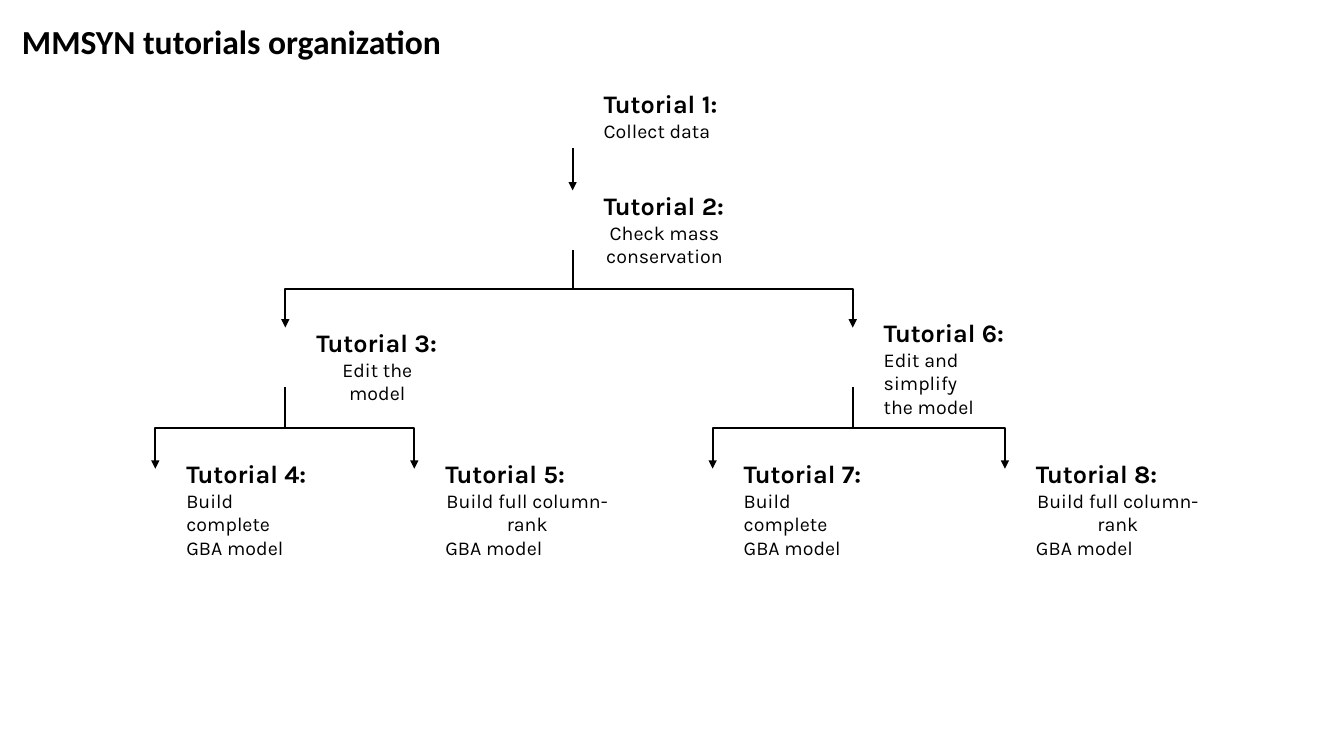
"""Build the tutorial organization tree slide."""
import dataclasses

import lxml.etree
import pptx
import pptx.dml.color
import pptx.enum.shapes
import pptx.enum.text
import pptx.oxml.ns
import pptx.util

Pt = pptx.util.Pt
qn = pptx.oxml.ns.qn
LEFT = pptx.enum.text.PP_ALIGN.LEFT
CENTER = pptx.enum.text.PP_ALIGN.CENTER
STRAIGHT = pptx.enum.shapes.MSO_CONNECTOR.STRAIGHT
ELBOW = pptx.enum.shapes.MSO_CONNECTOR.ELBOW


@dataclasses.dataclass(frozen=True)
class Theme:
    """Colours, fonts, type sizes and spacing of the slide."""
    ink: pptx.dml.color.RGBColor = pptx.dml.color.RGBColor(0, 0, 0)
    title_font: str = "Calibri"
    body_font: str = "Karla"
    title_size: float = 24
    heading_size: float = 18
    body_size: float = 14
    line_width: float = 1.5
    label_offset: float = 15.1
    inset: float = 7.2


THEME = Theme()

STEM = {1: 409, 2: 409, 3: 203.8, 4: 110.9, 5: 295.9, 6: 609.1, 7: 509, 8: 717.8}
LEAF_TOP = 324
NARROW, WIDE = 87, 117
COMPLETE = [("Build complete", LEFT), ("GBA model", LEFT)]
FULL_RANK = [("Build full column-rank", CENTER), ("GBA model", LEFT)]
TUTORIALS = [
    (1, 59.8, 96.5, 46, NARROW, [("Collect data", LEFT)]),
    (2, 132.5, 172.8, 46, NARROW, [("Check mass conservation", CENTER)]),
    (3, 230.4, 103, 46, NARROW, [("Edit the model", CENTER)]),
    (4, LEAF_TOP, 107.3, 63.4, NARROW, COMPLETE),
    (5, LEAF_TOP, 152, 63.4, WIDE, FULL_RANK),
    (6, 223.2, 116, 63.4, NARROW, [("Edit and simplify", LEFT), ("the model", LEFT)]),
    (7, LEAF_TOP, 107.3, 63.4, NARROW, COMPLETE),
    (8, LEAF_TOP, 152, 63.4, WIDE, FULL_RANK),
]
BRANCHES = [
    (2, (3, 6), 178.6, 234),
    (3, (4, 5), 276.5, 334.8),
    (6, (7, 8), 276.5, 334.8),
]


def add_text(page, left, top, width, height, lines, measure=None):
    """Add a box of (text, alignment, font, size, bold) lines, set to a measure."""
    box = page.shapes.add_textbox(Pt(left), Pt(top), Pt(width), Pt(height))
    frame = box.text_frame
    frame.word_wrap = True
    if measure:
        frame.margin_right = Pt(max(0, width - THEME.inset - measure))
    frame.text = "\n".join(line[0] for line in lines)
    for para, (_, alignment, font, size, bold) in zip(frame.paragraphs, lines):
        para.alignment = alignment
        for span in para.runs:
            span.font.name = font
            span.font.size = Pt(size)
            span.font.bold = bold
            span.font.color.rgb = THEME.ink


def add_title(page, left, top, width, height):
    """Add the slide title."""
    add_text(page, left, top, width, height,
             [("MMSYN tutorials organization", LEFT, THEME.title_font,
               THEME.title_size, True)])


def add_tutorial(page, number, top, width, height, measure, steps):
    """Add one tutorial label beside its stem."""
    heading = (f"Tutorial {number}:", LEFT, THEME.body_font, THEME.heading_size, True)
    body = [(text, alignment, THEME.body_font, THEME.body_size, False)
            for text, alignment in steps]
    add_text(page, STEM[number] + THEME.label_offset, top, width, height,
             [heading, *body], measure)


def add_arrow(page, kind, begin, end):
    """Add a black connector with a triangle at its end."""
    points = [Pt(value) for value in (*begin, *end)]
    arrow = page.shapes.add_connector(kind, *points)
    arrow.line.color.rgb = THEME.ink
    arrow.line.width = Pt(THEME.line_width)
    properties = arrow.element.spPr
    outline = properties.find(qn("a:ln"))
    lxml.etree.SubElement(outline, qn("a:tailEnd"), type="triangle")
    lxml.etree.SubElement(properties, qn("a:effectLst"))
    return arrow


def add_branch(page, parent_x, child_x, top, bottom):
    """Add an elbow arrow that leaves downwards, turned a quarter from its frame."""
    middle_x, middle_y = (parent_x + child_x) / 2, (top + bottom) / 2
    half_drop, half_span = (bottom - top) / 2, abs(child_x - parent_x) / 2
    side = 1 if child_x > parent_x else -1
    arrow = add_arrow(page, ELBOW,
                      (middle_x + side * half_drop, middle_y - half_span),
                      (middle_x - side * half_drop, middle_y + half_span))
    degrees = 270 if side > 0 else 90
    arrow.element.spPr.find(qn("a:xfrm")).set("rot", str(degrees * 60000))


def add_tree(page):
    """Add the tutorial labels and the arrows between them."""
    for tutorial in TUTORIALS:
        add_tutorial(page, *tutorial)
    add_arrow(page, STRAIGHT, (STEM[1], 106), (STEM[2], 136))
    for parent, children, top, bottom in BRANCHES:
        for child in children:
            add_branch(page, STEM[parent], STEM[child], top, bottom)


def main():
    """Create the deck and save it."""
    deck = pptx.Presentation()
    deck.slide_width, deck.slide_height = Pt(960), Pt(540)
    page = deck.slides.add_slide(deck.slide_layouts[6])
    add_title(page, 8.6, 11.5, 361.4, 36)
    add_tree(page)
    deck.save("out.pptx")


if __name__ == "__main__":
    main()
